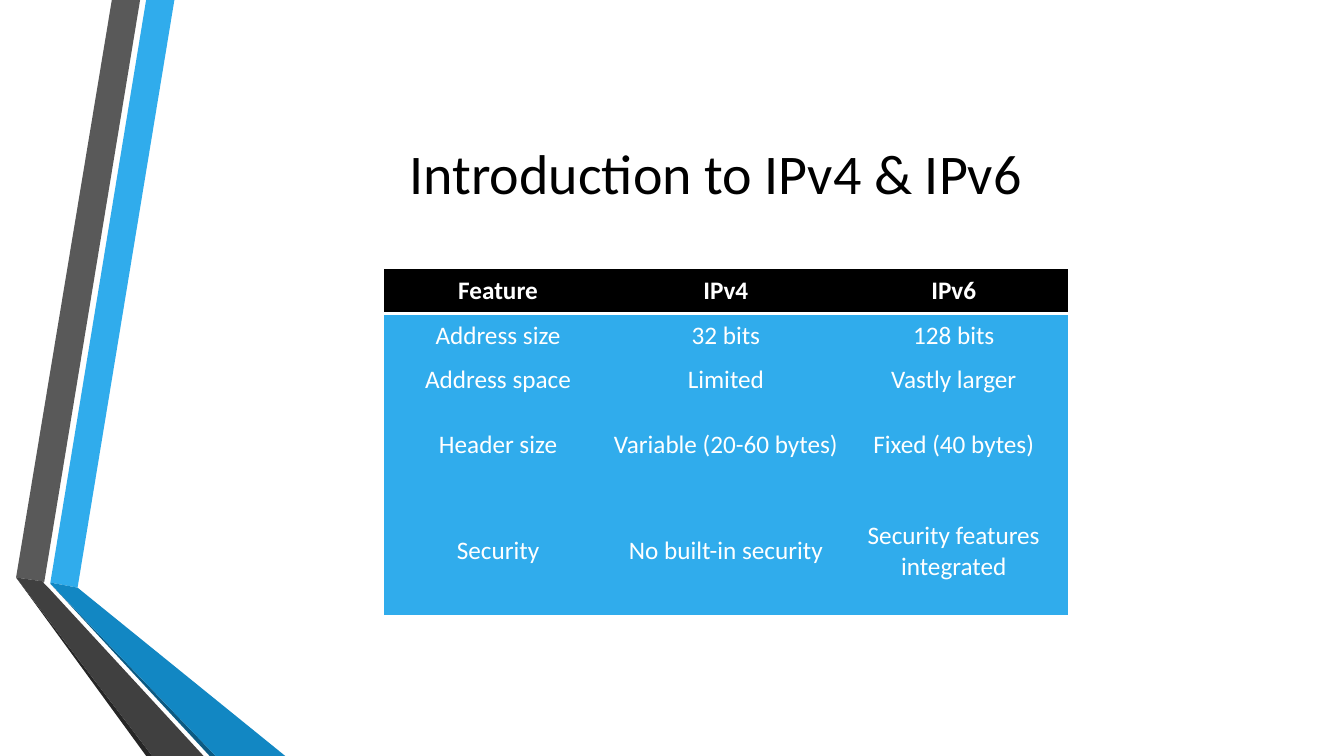
from lxml.etree import SubElement
from pptx import Presentation
from pptx.dml.color import RGBColor
from pptx.enum.text import MSO_ANCHOR, PP_ALIGN
from pptx.oxml import parse_xml
from pptx.oxml.ns import nsdecls, qn
from pptx.util import Inches, Pt

TITLE = "Introduction to IPv4 & IPv6"
ROWS = [
    ("Feature", "IPv4", "IPv6"),
    ("Address size", "32 bits", "128 bits"),
    ("Address space", "Limited", "Vastly larger"),
    ("Header size", "Variable (20-60 bytes)", "Fixed (40 bytes)"),
    ("Security", "No built-in security", "Security features integrated"),
]
ROW_HEIGHTS = [0.44, 0.44, 0.44, 0.85, 1.26]
COLUMN_WIDTH = 2.26
TABLE_LEFT, TABLE_TOP = 3.81, 2.67
WIDTH, HEIGHT = 13.33, 7.5
FONT = "Calibri"
BLACK, WHITE, BLUE = "000000", "FFFFFF", "30ACEC"
NO_GRID_STYLE = "{2D5ABB26-0587-4C30-8999-92F81FD0307C}"

RIBBONS = [
    (BLUE, [(0.5, 5.78), (0.77, 5.83), (1.73, 0), (1.45, 0)]),
    ("595959", [(1.39, 0), (1.11, 0), (0.16, 5.73), (0.44, 5.77)]),
    ("262626", [(0.16, 5.73), (1.45, HEIGHT), (1.51, HEIGHT)]),
    ("0C5A82", [(0.5, 5.79), (2.08, HEIGHT), (2.14, HEIGHT)]),
    ("1287C3", [(0.5, 5.79), (2.14, HEIGHT), (2.83, HEIGHT), (0.77, 5.83), (0.5, 5.78)]),
    ("404040", [(2.02, HEIGHT), (0.48, 5.83), (0.43, 5.78), (0.44, 5.77),
                (0.16, 5.73), (1.51, HEIGHT)]),
]


def paint(fill, color):
    fill.solid()
    fill.fore_color.rgb = RGBColor.from_string(color)


def write(paragraph, text, size, color, bold=False):
    paragraph.alignment = PP_ALIGN.CENTER
    run = paragraph.add_run()
    run.text = text
    run.font.name = FONT
    run.font.size = Pt(size)
    run.font.bold = bold
    run.font.color.rgb = RGBColor.from_string(color)


def add_ribbon(slide, color, points):
    corners = [(Inches(x), Inches(y)) for x, y in points]
    builder = slide.shapes.build_freeform(*corners[0])
    builder.add_line_segments(corners[1:], close=True)
    shape = builder.convert_to_shape()
    shape.shadow.inherit = False
    paint(shape.fill, color)
    shape.line.fill.background()


def add_bottom_border(cell, color, points):
    border = parse_xml(f'<a:lnB {nsdecls("a")} w="{Pt(points)}"/>')
    fill = SubElement(border, qn("a:solidFill"))
    SubElement(fill, qn("a:srgbClr"), val=color)
    cell._tc.get_or_add_tcPr().insert(0, border)


def format_cell(cell, text, is_header, side_margin):
    cell.vertical_anchor = MSO_ANCHOR.MIDDLE
    cell.margin_left = cell.margin_right = Inches(side_margin)
    cell.margin_top = cell.margin_bottom = Inches(0.01)
    paint(cell.fill, BLACK if is_header else BLUE)
    write(cell.text_frame.paragraphs[0], text, 18, WHITE, is_header)
    if is_header:
        add_bottom_border(cell, WHITE, 2)


def add_feature_table(slide):
    column_count = len(ROWS[0])
    frame = slide.shapes.add_table(
        len(ROWS), column_count, Inches(TABLE_LEFT), Inches(TABLE_TOP),
        Inches(COLUMN_WIDTH * column_count), Inches(sum(ROW_HEIGHTS)))
    table = frame.table
    table.horz_banding = False
    table._tbl.tblPr.find(qn("a:tableStyleId")).text = NO_GRID_STYLE
    for column in table.columns:
        column.width = Inches(COLUMN_WIDTH)
    for row_index, (values, height) in enumerate(zip(ROWS, ROW_HEIGHTS)):
        table.rows[row_index].height = Inches(height)
        for column_index, text in enumerate(values):
            is_last = (row_index, column_index) == (len(ROWS) - 1, column_count - 1)
            format_cell(table.cell(row_index, column_index), text,
                        row_index == 0, 0 if is_last else 0.02)


def add_title(slide):
    title = slide.shapes.title
    title.left, title.top = Inches(1.62), Inches(0.75)
    title.width, title.height = Inches(10.96), Inches(1.92)
    title.text_frame.vertical_anchor = MSO_ANCHOR.MIDDLE
    write(title.text_frame.paragraphs[0], TITLE, 40, BLACK)


def main():
    presentation = Presentation()
    presentation.slide_width = Inches(WIDTH)
    presentation.slide_height = Inches(HEIGHT)
    slide = presentation.slides.add_slide(presentation.slide_layouts[5])
    paint(slide.background.fill, WHITE)
    for color, points in RIBBONS:
        add_ribbon(slide, color, points)
    add_title(slide)
    add_feature_table(slide)
    presentation.save("out.pptx")


if __name__ == "__main__":
    main()
